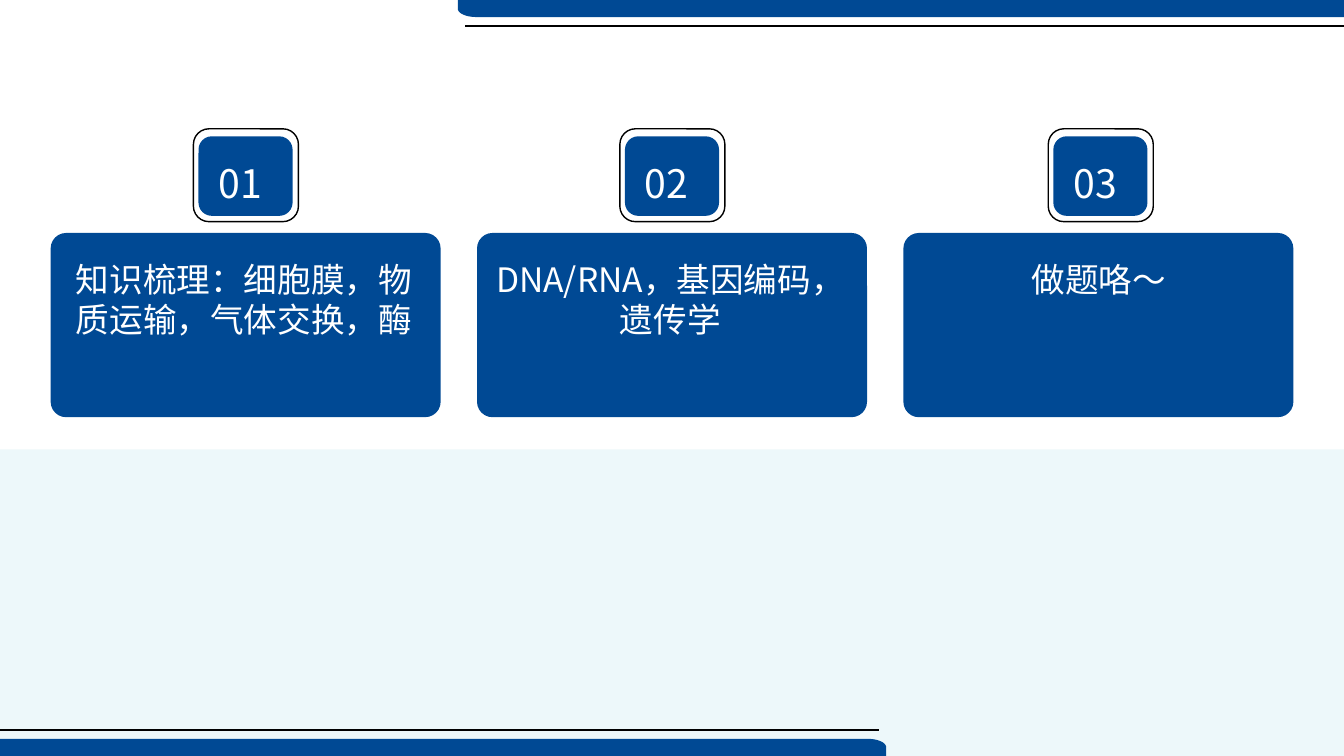
from lxml import etree
from pptx import Presentation
from pptx import util as u
from pptx.dml.color import RGBColor
from pptx.enum import shapes, text
from pptx.oxml.ns import qn

WIDTH, HEIGHT = 960, 540
COLORS = {"blue": "004994", "pale": "EDF8FA", "black": "000000", "white": "FFFFFF"}


class AgendaSlide:
    font = "Noto Sans CJK SC"

    def __init__(self, slide):
        self.slide = slide

    def color(self, name):
        return RGBColor.from_string(COLORS[name])

    def paint(self, shape, fill=None, line=None):
        shape.shadow.inherit = False
        if fill:
            shape.fill.solid()
            shape.fill.fore_color.rgb = self.color(fill)
        else:
            shape.fill.background()
        if line:
            shape.line.color.rgb = self.color(line)
            shape.line.width = u.Pt(1)
        else:
            shape.line.fill.background()

    def box(self, left, top, width, height, fill=None, line=None, radius=None):
        kind = shapes.MSO_SHAPE.RECTANGLE
        if radius is not None:
            kind = shapes.MSO_SHAPE.ROUNDED_RECTANGLE
        shape = self.slide.shapes.add_shape(
            kind, u.Pt(left), u.Pt(top), u.Pt(width), u.Pt(height))
        if radius is not None:
            shape.adjustments[0] = radius
        self.paint(shape, fill, line)

    def outline(self, points, fill):
        corners = [(u.Pt(x), u.Pt(y)) for x, y in points]
        builder = self.slide.shapes.build_freeform(*corners[0])
        builder.add_line_segments(corners[1:], close=True)
        self.paint(builder.convert_to_shape(), fill)

    def line(self, start, end):
        connector = self.slide.shapes.add_connector(
            shapes.MSO_CONNECTOR.STRAIGHT, *(u.Pt(value) for value in (*start, *end)))
        connector.line.color.rgb = self.color("black")
        connector.line.width = u.Pt(1.25)
        properties = connector.element.find(qn("p:spPr"))
        etree.SubElement(properties, qn("a:effectLst"))

    def label(self, content, left, top, width, height, size, align):
        shape = self.slide.shapes.add_textbox(
            u.Pt(left), u.Pt(top), u.Pt(width), u.Pt(height))
        frame = shape.text_frame
        frame.word_wrap = True
        frame.margin_top = u.Pt(5.6)
        paragraph = frame.paragraphs[0]
        paragraph.alignment = align
        paragraph.line_spacing = u.Pt(size * 1.2)
        run = paragraph.add_run()
        run.text = content
        run.font.size = u.Pt(size)
        run.font.name = self.font
        run.font.color.rgb = self.color("white")
        east_asian = etree.SubElement(run.font._element, qn("a:ea"))
        east_asian.set("typeface", self.font)


def rounded_bar():
    steps = 12
    points = [(327, 0), (WIDTH, 0), (WIDTH, 12.2)]
    for step in range(steps + 1):
        t = step / steps
        s = 1 - t
        x = 340 * s**3 + 3 * 332.8 * s**2 * t + 327 * (3 * s * t**2 + t**3)
        y = 12.2 * (s**3 + 3 * s**2 * t) + 3 * 9.5 * s * t**2 + 6.2 * t**3
        points.append((x, y))
    return points


def half_turn(points):
    return [(WIDTH - x, HEIGHT - y) for x, y in points]


def main():
    presentation = Presentation()
    presentation.slide_width = u.Pt(WIDTH)
    presentation.slide_height = u.Pt(HEIGHT)
    agenda = AgendaSlide(presentation.slides.add_slide(presentation.slide_layouts[6]))

    agenda.box(0, 321, WIDTH, HEIGHT - 321, fill="pale")
    bar = rounded_bar()
    rule = [(332.4, 18.6), (WIDTH, 18.6)]
    for bar_points, rule_points in ((bar, rule), (half_turn(bar), half_turn(rule))):
        agenda.outline(bar_points, "blue")
        agenda.line(*rule_points)

    topics = [
        (138.2, "知识梳理：细胞膜，物质运输，气体交换，酶", 65.5),
        (442.8, "DNA/RNA，基因编码，遗传学", 65.5),
        (748.8, "做题咯～", 36),
    ]
    for index, (badge_left, topic, topic_height) in enumerate(topics):
        agenda.box(36.2 + index * 304.56, 166.4, 278.6, 131.6, fill="blue", radius=0.084)
        agenda.label(topic, badge_left - 102.2, 179.3, 276.5, topic_height, 24,
                     text.PP_ALIGN.CENTER)
        agenda.box(badge_left, 92, 75, 66.3, line="black", radius=0.167)
        agenda.box(badge_left + 3.6, 97.4, 67.2, 56.8, fill="blue", radius=0.167)
        agenda.label(f"{index + 1:02}", badge_left + 10.8, 108, 52.5, 34.6, 28,
                     text.PP_ALIGN.LEFT)

    presentation.save("out.pptx")


if __name__ == "__main__":
    main()
